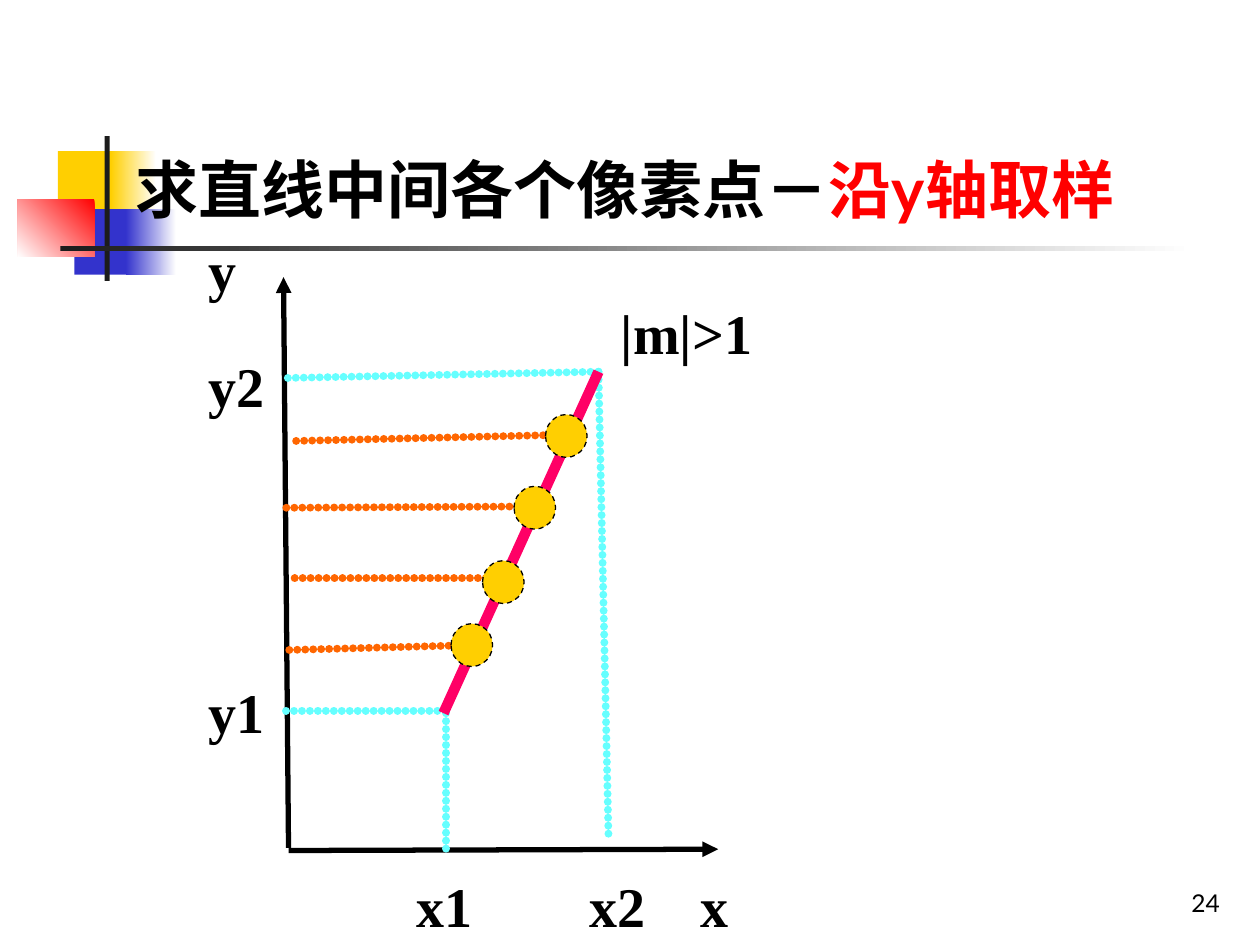
from pptx import Presentation
from pptx.util import Inches, Pt
from pptx.dml.color import RGBColor
from pptx.enum.dml import MSO_LINE
from pptx.enum.shapes import MSO_CONNECTOR, MSO_SHAPE
from pptx.enum.text import MSO_ANCHOR as ANCHOR, PP_ALIGN as ALIGN
from lxml.etree import SubElement
from pptx.oxml.ns import qn

BLACK = RGBColor(0x00, 0x00, 0x00)
WHITE = RGBColor(0xFF, 0xFF, 0xFF)
CHARCOAL = RGBColor(0x1C, 0x1C, 0x1C)
YELLOW = RGBColor(0xFF, 0xCF, 0x01)
BLUE = RGBColor(0x33, 0x33, 0xCC)
RED = RGBColor(0xFF, 0x00, 0x00)
CYAN = RGBColor(0x66, 0xFF, 0xFF)
PINK = RGBColor(0xFF, 0x00, 0x66)
ORANGE = RGBColor(0xFF, 0x66, 0x00)

prs = Presentation()
prs.slide_width, prs.slide_height = Inches(10), Inches(7.5)
UNIT = prs.slide_width / 10  # grid of 10 columns by 7.5 rows
s = prs.slides.add_slide(prs.slide_layouts[6])


def grid(*cells):
    return [int(c * UNIT) for c in cells]


def add_text(box, runs, size, font, bold=True, align=ALIGN.LEFT,
             anchor=ANCHOR.TOP, wrap=False, inset=(0.1, 0.05)):
    """Add a one-paragraph text box; runs are (text, colour) pairs."""
    tf = s.shapes.add_textbox(*grid(*box)).text_frame
    tf.word_wrap, tf.vertical_anchor = wrap, anchor
    tf.margin_left = tf.margin_right = Inches(inset[0])
    tf.margin_top = tf.margin_bottom = Inches(inset[1])
    p = tf.paragraphs[0]
    p.alignment = align
    for text, colour in runs:
        r = p.add_run()
        r.text = text
        r.font.size, r.font.name, r.font.bold = Pt(size), font, bold
        r.font.color.rgb = colour


# Title ornament: blocks with a start colour, an end colour and an angle
ornament = [
    ((0.46, 1.2, 0.48, 0.52), YELLOW, None, 0),
    ((0.88, 1.2, 0.36, 0.52), YELLOW, WHITE, 0),
    ((0.59, 1.66, 0.46, 0.52), BLUE, None, 0),
    ((1, 1.66, 0.4, 0.52), BLUE, WHITE, 0),
    ((0.14, 1.58, 0.61, 0.46), RED, WHITE, 225),
    ((0.83, 1.08, 0.04, 1.15), CHARCOAL, None, 0),
    ((0.48, 1.95, 9, 0.04), CHARCOAL, WHITE, 0),
]
for box, start, end, angle in ornament:
    sp = s.shapes.add_shape(MSO_SHAPE.RECTANGLE, *grid(*box))
    sp.shadow.inherit = False
    sp.line.fill.background()
    if end is None:
        sp.fill.solid()
        sp.fill.fore_color.rgb = start
    else:
        sp.fill.gradient()
        sp.fill.gradient_angle = angle
        for stop, colour in zip(sp.fill.gradient_stops, (start, end)):
            stop.color.rgb = colour

add_text((0.98, 1.07, 8.58, 0.77),
         [("求直线中间各个像素点－", BLACK), ("沿y轴取样", RED)],
         36, "Lato", anchor=ANCHOR.BOTTOM, wrap=True)

# Axes, guides, the line itself and its samples: ends, colour, width, style
lines = [
    ((2.29, 6.73, 2.25, 2.2), BLACK, 3, "arrow"),
    ((2.29, 6.75, 5.7, 6.74), BLACK, 3, "arrow"),
    ((3.54, 5.66, 3.54, 6.75), CYAN, 4.5, "dots"),
    ((4.75, 2.95, 4.83, 6.66), CYAN, 4.5, "dots"),
    ((2.27, 5.64, 3.52, 5.64), CYAN, 4.5, "dots"),
    ((4.75, 2.95, 2.27, 3), CYAN, 4.5, "dots"),
    ((3.52, 5.66, 4.75, 2.95), PINK, 6, "solid"),
    ((3.75, 5.12, 2.25, 5.16), ORANGE, 4.5, "dots"),
    ((3.92, 4.59, 2.33, 4.59), ORANGE, 4.5, "dots"),
    ((4.5, 3.45, 2.33, 3.5), ORANGE, 4.5, "dots"),
    ((4.17, 4.02, 2.25, 4.03), ORANGE, 4.5, "dots"),
]
for ends, colour, width, style in lines:
    line = s.shapes.add_connector(MSO_CONNECTOR.STRAIGHT, *grid(*ends))
    line.line.color.rgb, line.line.width = colour, Pt(width)
    spPr = line.line._get_or_add_ln().getparent()
    SubElement(spPr, qn("a:effectLst"))
    ln = spPr.find(qn("a:ln"))
    if style == "dots":  # round dots that almost touch
        ln.set("cap", "rnd")
        dash = SubElement(ln, qn("a:custDash"))
        SubElement(dash, qn("a:ds"), d="100000", sp="1000")
    elif style == "arrow":
        SubElement(ln, qn("a:tailEnd"), type="triangle")

# Sampled pixels climb one step of a quarter column each
for step, top in enumerate((4.95, 4.45, 3.86, 3.29)):
    sp = s.shapes.add_shape(MSO_SHAPE.OVAL,
                            *grid(3.58 + 0.25 * step, top, 0.33, 0.34))
    sp.shadow.inherit = False
    sp.fill.solid()
    sp.fill.fore_color.rgb = YELLOW
    sp.line.color.rgb, sp.line.width = BLACK, Pt(0.75)
    sp.line.dash_style = MSO_LINE.DASH

labels = [("x1", 3.3, 6.92), ("x2", 4.67, 6.92), ("x", 5.56, 6.92),
          ("y1", 1.65, 5.38), ("y2", 1.65, 2.79), ("y", 1.65, 1.87)]
for text, left, top in labels:
    add_text((left, top, 0.23 * len(text), 0.53), [(text, BLACK)], 32,
             "Times New Roman", align=ALIGN.CENTER, anchor=ANCHOR.MIDDLE,
             inset=(0, 0))

add_text((4.83, 2.32, 1.24, 0.64), [("|m|>1", BLACK)], 32, "Times New Roman")
add_text((7.7, 6.83, 2.08, 0.5), [("24", BLACK)], 14, "Lato", bold=False,
         align=ALIGN.RIGHT, anchor=ANCHOR.BOTTOM, wrap=True)

prs.save("out.pptx")
